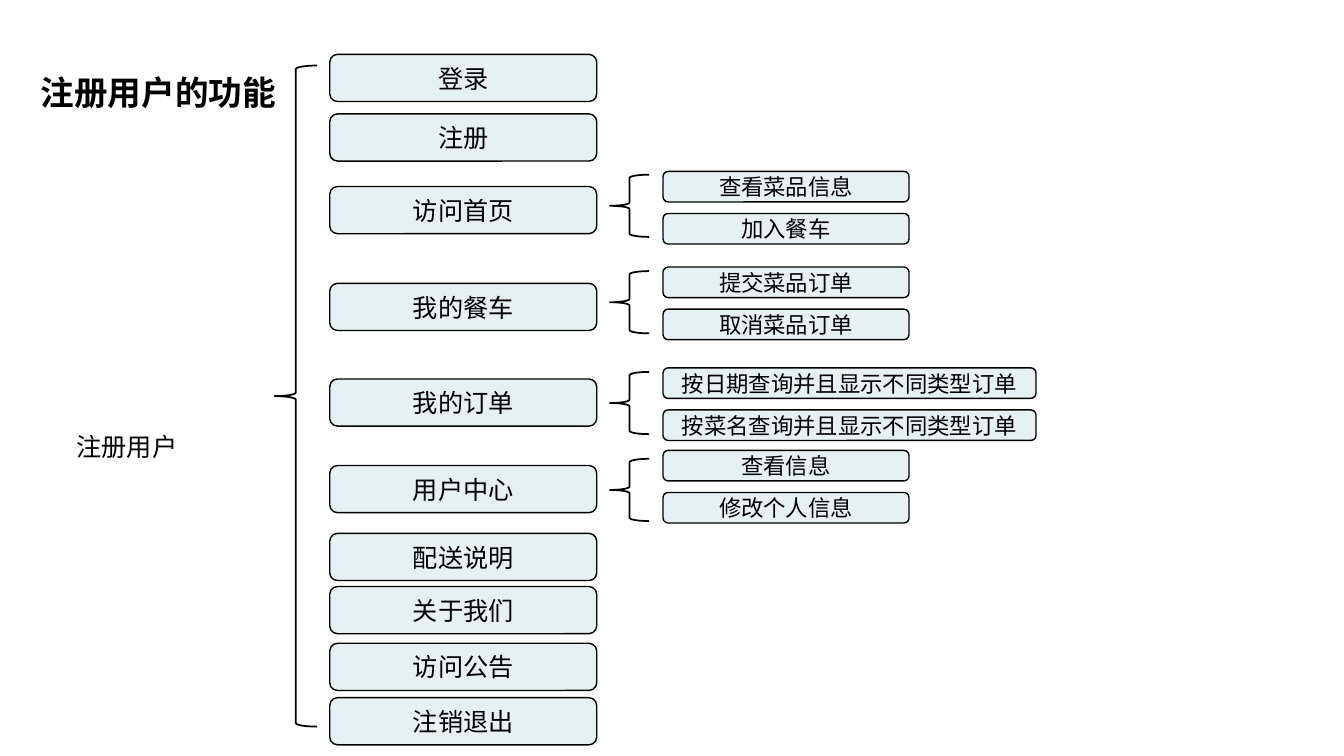
from pptx import Presentation
from pptx.dml.color import RGBColor
from pptx.enum import shapes, text
from pptx.util import Cm, Pt

FONT = "Times New Roman"
INK = "000000"
PALE = "E6F1F3"

FUNCTION_LEFT, FUNCTION_WIDTH, FUNCTION_HEIGHT = 8.31, 6.73, 1.19
DETAIL_LEFT, DETAIL_HEIGHT, DETAIL_STEP = 16.71, 0.77, 1.06

FUNCTIONS = [
    ("登录", 1.37),
    ("注册", 2.87),
    ("访问首页", 4.7),
    ("我的餐车", 7.14),
    ("我的订单", 9.55),
    ("用户中心", 11.73),
    ("配送说明", 13.44),
    ("关于我们", 14.78),
    ("访问公告", 16.21),
    ("注销退出", 17.58),
]

DETAILS = [
    (4.4, 4.32, 6.2, ["查看菜品信息", "加入餐车"]),
    (6.83, 6.73, 6.2, ["提交菜品订单", "取消菜品订单"]),
    (9.37, 9.27, 9.4, ["按日期查询并且显示不同类型订单", "按菜名查询并且显示不同类型订单"]),
    (11.56, 11.35, 6.2, ["查看信息", "修改个人信息"]),
]


def colour(value):
    """Turn a hex string into a colour."""
    return RGBColor.from_string(value)


def write(box, words, size, bold=False, anchor=text.MSO_ANCHOR.MIDDLE):
    """Put one centred line of text in a shape."""
    frame = box.text_frame
    frame.word_wrap = True
    frame.auto_size = text.MSO_AUTO_SIZE.NONE
    frame.vertical_anchor = anchor
    para = frame.paragraphs[0]
    para.alignment = text.PP_ALIGN.CENTER
    span = para.add_run()
    span.text = words
    span.font.color.rgb = colour(INK)
    for name, value in {"name": FONT, "size": Pt(size), "bold": bold}.items():
        setattr(span.font, name, value)


def add_outline(page, kind, left, top, width, height, weight):
    """Add a preset shape with a plain dark line."""
    shape = page.shapes.add_shape(kind, Cm(left), Cm(top), Cm(width), Cm(height))
    shape.shadow.inherit = False
    shape.line.color.rgb = colour(INK)
    shape.line.width = Pt(weight)
    return shape


def add_box(page, words, left, top, width, height, size):
    """Add a pale rounded box with a label."""
    box = add_outline(page, shapes.MSO_SHAPE.ROUNDED_RECTANGLE, left, top, width, height, 1)
    box.fill.solid()
    box.fill.fore_color.rgb = colour(PALE)
    write(box, words, size)


def add_brace(page, left, top, width, height):
    """Add a brace that opens to the right."""
    brace = add_outline(page, shapes.MSO_SHAPE.RIGHT_BRACE, left, top, width, height, 1.25)
    brace.rotation = 180
    brace.fill.background()


def add_title(page, words):
    """Place and fill the title placeholder."""
    title = page.shapes.title
    place = {"left": Cm(0), "top": Cm(1.68), "width": Cm(7.98), "height": Cm(1.28)}
    for name, value in place.items():
        setattr(title, name, value)
    write(title, words, 24, bold=True)


def add_label(page, words, left, top, width, height):
    """Add a centred text label without a frame."""
    label = page.shapes.add_textbox(Cm(left), Cm(top), Cm(width), Cm(height))
    write(label, words, 18, anchor=text.MSO_ANCHOR.TOP)


def main():
    """Build the function tree of a registered user."""
    deck = Presentation()
    deck.slide_width, deck.slide_height = Cm(33.87), Cm(19.05)
    page = deck.slides.add_slide(deck.slide_layouts[5])
    add_title(page, "注册用户的功能")
    add_label(page, "注册用户", 0.38, 10.74, 5.64, 1.02)
    add_brace(page, 6.92, 1.65, 1.07, 16.66)
    for words, top in FUNCTIONS:
        add_box(page, words, FUNCTION_LEFT, top, FUNCTION_WIDTH, FUNCTION_HEIGHT, 18)
    for brace_top, first_top, width, labels in DETAILS:
        add_brace(page, 15.37, brace_top, 0.99, 1.57)
        for row, words in enumerate(labels):
            top = first_top + row * DETAIL_STEP
            add_box(page, words, DETAIL_LEFT, top, width, DETAIL_HEIGHT, 16)
    deck.save("out.pptx")


if __name__ == "__main__":
    main()
